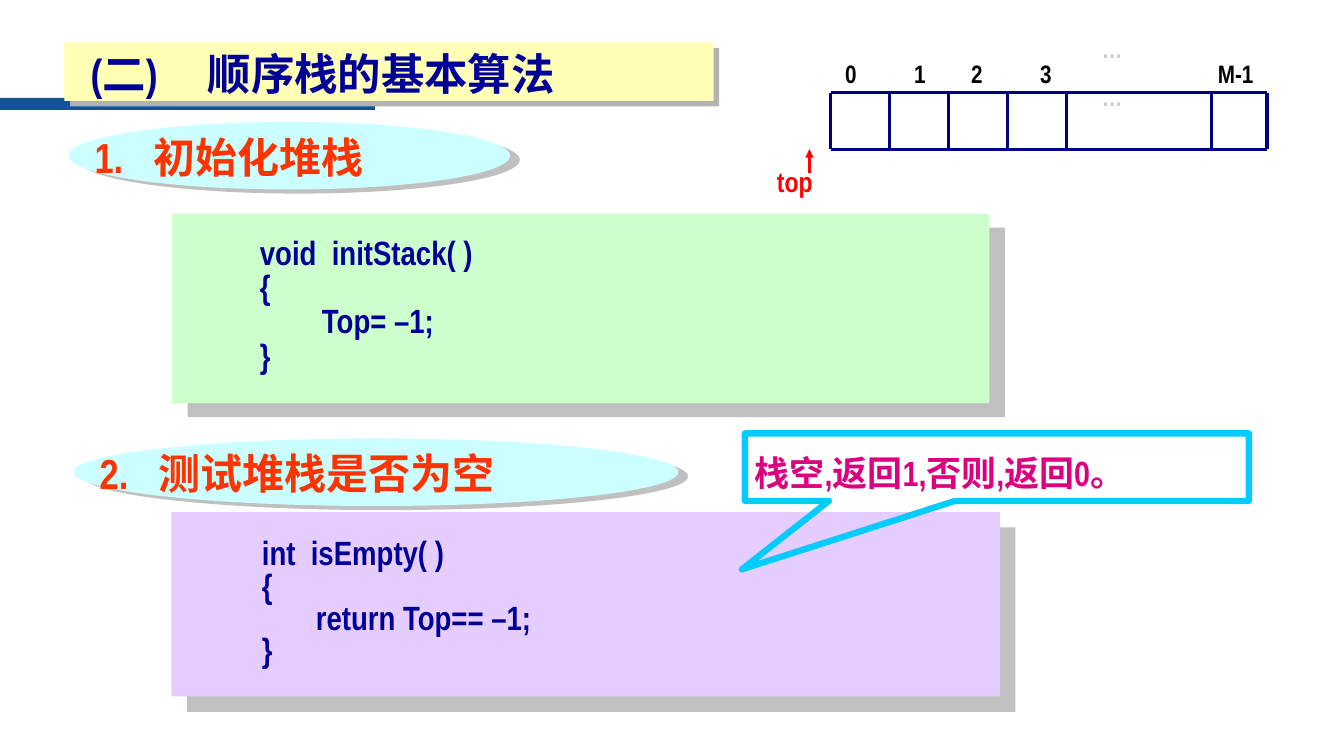
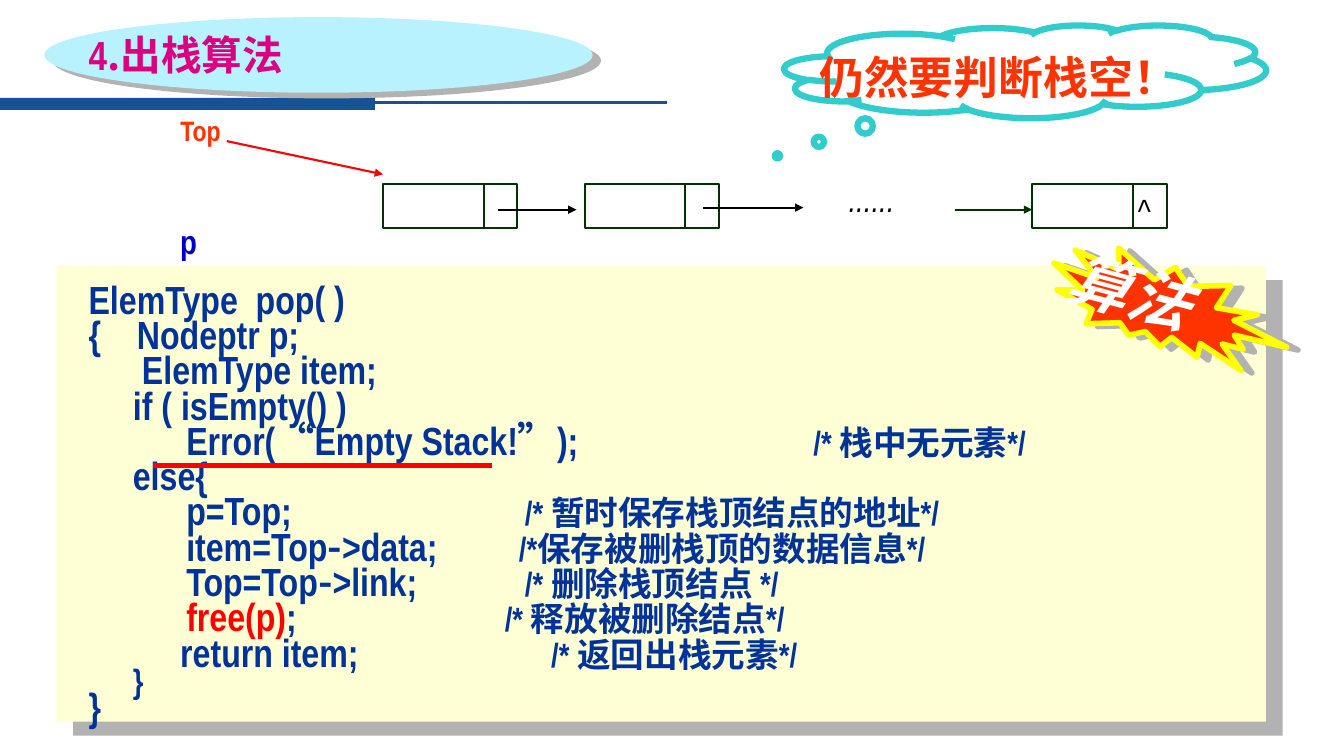
from lxml.etree import SubElement
from pptx import Presentation
from pptx.dml.color import RGBColor
from pptx.enum.shapes import MSO_CONNECTOR, MSO_SHAPE as Shape
from pptx.enum.text import MSO_ANCHOR, MSO_AUTO_SIZE, PP_ALIGN as Align
from pptx.oxml.ns import qn
from pptx.util import Inches, Pt

# The slide is a grid of 160 columns by 90 rows; one cell is 1/12 inch square.
CELL = Inches(1) / 12
LATIN, CJK = "Arial Narrow", "Noto Sans CJK SC"
BAND, NAVY, CODE_BLUE = "145396", "000099", "003399"
ORANGE, RED, PINK = "FF3300", "FF0000", "DC0081"
SILVER, GREY, BLACK, GREEN = "C0C0C0", "B2B2B2", "000000", "003300"
COMMENT = {"size": 24}
IN_CJK = {"font": CJK}


def cells(*lengths):
    return [round(length * CELL) for length in lengths]


def rgb(value):
    return RGBColor.from_string(value)


def add_outer_shadow(effects, colour, distance, angle):
    shadow = SubElement(effects, qn("a:outerShdw"), dist=str(Pt(distance)),
                        dir=str(angle * 60000), algn="tl", rotWithShape="0")
    SubElement(shadow, qn("a:srgbClr"), val=colour)


def add_box(page, kind, at, fill=None, line=None, weight=1, shadow=None,
            adjust=(), rotation=0):
    """Add a preset shape; shadow is (colour, distance, angle)."""
    box = page.shapes.add_shape(kind, *cells(*at))
    box.shadow.inherit = False
    box.rotation = rotation
    for index, value in enumerate(adjust):
        box.adjustments[index] = value
    if fill:
        box.fill.solid()
        box.fill.fore_color.rgb = rgb(fill)
    else:
        box.fill.background()
    if line:
        box.line.color.rgb = rgb(line)
        box.line.width = Pt(weight)
    else:
        box.line.fill.background()
    if shadow:
        add_outer_shadow(box._element.spPr.find(qn("a:effectLst")), *shadow)
    return box


def add_line(page, start, end, colour, weight, arrow=False):
    line = page.shapes.add_connector(MSO_CONNECTOR.STRAIGHT,
                                     *cells(*start, *end))
    line.line.color.rgb = rgb(colour)
    line.line.width = Pt(weight)
    if arrow:
        SubElement(line.line._get_or_add_ln(), qn("a:tailEnd"), type="triangle")
    SubElement(line._element.spPr, qn("a:effectLst"))


def format_span(span, size, colour, font=LATIN, bold=True, italic=False,
                shadow=False):
    span.font.size = Pt(size)
    span.font.bold = bold
    span.font.italic = italic
    span.font.color.rgb = rgb(colour)
    span.font.name = font
    properties = span.font._element
    SubElement(properties, qn("a:ea"), typeface=CJK)
    if shadow:
        effects = SubElement(properties, qn("a:effectLst"))
        add_outer_shadow(effects, BLACK, 2, 45)
        properties.find(qn("a:solidFill")).addnext(effects)


def write_para(para, spans, tabs=(), spacing=None, align=Align.LEFT, **look):
    """Fill a paragraph; a span is a string or (string, format changes)."""
    para.alignment = align
    if spacing:
        para.line_spacing = spacing
    if tabs:
        tab_list = SubElement(para._p.get_or_add_pPr(), qn("a:tabLst"))
        for stop in cells(*tabs):
            SubElement(tab_list, qn("a:tab"), pos=str(stop), algn="l")
    for item in [spans] if isinstance(spans, str) else spans:
        text, changes = (item, {}) if isinstance(item, str) else item
        span = para.add_run()
        span.text = text
        format_span(span, **{**look, **changes})


def add_text(page, at, spans, rotation=0, **look):
    box = page.shapes.add_textbox(*cells(*at))
    box.rotation = rotation
    box.text_frame.word_wrap = True
    write_para(box.text_frame.paragraphs[0], spans, **look)


def add_code(page, at, lines, **look):
    """Write code; a line is (spans, tab stops, format changes)."""
    frame = page.shapes.add_textbox(*cells(*at)).text_frame
    frame.word_wrap = True
    for index, (spans, tabs, changes) in enumerate(lines):
        para = frame.add_paragraph() if index else frame.paragraphs[0]
        write_para(para, spans, tabs=tabs, **{**look, **changes})


def place_title(page, at, spans, **look):
    title = page.shapes.title
    title.left, title.top, title.width, title.height = cells(*at)
    page.shapes._spTree.append(title._element)
    frame = title.text_frame
    frame.word_wrap = True
    frame.auto_size = MSO_AUTO_SIZE.NONE
    frame.vertical_anchor = MSO_ANCHOR.TOP
    write_para(frame.paragraphs[0], spans, **look)


def add_page(deck):
    page = deck.slides.add_slide(deck.slide_layouts[5])
    add_box(page, Shape.RECTANGLE, (0, 11.64, 44.64, 1.44), fill=BAND)
    add_line(page, (44.2, 12.24), (79.4, 12.24), BAND, 2.25)
    return page


def add_heading(page, left, top, width, text):
    add_box(page, Shape.OVAL, (left, top, width, 8.04), fill="CCFFFF",
            shadow=(SILVER, 7.6, 23))
    add_text(page, (left + 1.92, top + 0.55, width + 2, 7.2), text,
             tabs=[6.96], size=30, colour=ORANGE, shadow=True)


def add_array(page):
    left, right, top, bottom = 98.88, 150.84, 11.04, 17.76
    for y in (top, bottom):
        add_line(page, (left, y), (right, y), "000080", 2)
    for x in [left + 7.02 * i for i in range(5)] + [144.24, right]:
        add_line(page, (x, top), (x, bottom), "000080", 2.25)
    labels = {"0": 101.3, "1": 109.5, "2": 116.3, "3": 124.5, "M-1": 147.1}
    for label, centre in labels.items():
        add_text(page, (centre - 4, 6.36, 8, 4.8), label, size=18,
                 colour=BLACK, align=Align.CENTER)
    for y in (3.36, 9.12):
        add_text(page, (130, y, 5.4, 4.8), "…", size=18, colour="CECECE")
    add_line(page, (96.36, 20.64), (96.36, bottom), RED, 2, arrow=True)
    add_text(page, (91.32, 18.96, 16.3, 5.2), "top", size=20, colour=RED)


def add_node(page, left):
    for x, width in ((left, 12), (left + 12, 4)):
        add_box(page, Shape.RECTANGLE, (x, 21.96, width, 5.16),
                line=GREEN, weight=1.5)


def build_basic_algorithms(deck):
    page = add_page(deck)
    add_heading(page, 8.16, 14.52, 52.56, "1.\t初始化堆栈")
    add_box(page, Shape.RECTANGLE, (20.5, 25.44, 97.3, 22.56), fill="CCFFCC",
            shadow=(SILVER, 14.9, 42))
    add_code(page, (29.76, 27.72, 74.64, 17.5),
             [("void  initStack( )", (), {}), ("{", (), {}),
              ("\tTop= –1;", [7.38], {}), ("}", (), {})],
             size=24, colour=NAVY, spacing=0.85)

    add_heading(page, 8.76, 52.2, 72, "2.\t测试堆栈是否为空")
    add_box(page, Shape.RECTANGLE, (20.4, 60.96, 98.64, 21.96), fill="E6CDFF",
            shadow=(SILVER, 15.6, 45))
    add_code(page, (30, 63.72, 72, 16.7),
             [("int  isEmpty( )", (), {}), ("{", (), {}),
              ("\treturn Top== –1;", [6.43], {}), ("}", (), {})],
             size=24, colour=NAVY, spacing=0.8)
    add_box(page, Shape.RECTANGULAR_CALLOUT, (88.68, 51.6, 60, 8.04),
            line="00CCFF", weight=4.5, adjust=(-0.506, 1.513))
    add_text(page, (88.68, 53.16, 70.7, 6.24), "栈空,返回1,否则,返回0。",
             size=25, colour=PINK)

    add_box(page, Shape.RECTANGLE, (7.68, 5.04, 77.28, 6.96), fill="FFFFB5",
            shadow=(GREY, 5.7, 45))
    place_title(page, (9.6, 5.04, 78, 7.44), "(二)\t顺序栈的基本算法",
                tabs=[13.92], size=31, colour=NAVY)
    add_array(page)


def add_linked_list(page):
    add_text(page, (20.28, 12.96, 8, 5.3), "Top", size=20, colour=ORANGE)
    add_text(page, (20.28, 25.68, 5, 6), "p", size=24, colour="0000CC")
    for left in (45.6, 69.6, 122.88):
        add_node(page, left)
    for start, end, y, colour in ((59.28, 68.64, 24.96, BLACK),
                                  (83.64, 95.64, 24.72, BLACK),
                                  (113.64, 122.88, 24.96, GREEN)):
        add_line(page, (start, y), (end, y), colour, 1.25, arrow=True)
    add_line(page, (27, 16.8), (45.6, 20.76), RED, 1.5, arrow=True)
    add_text(page, (99.84, 20.76, 11, 6.1), "......", size=24, colour=BLACK,
             bold=False, italic=True)
    add_text(page, (134.28, 21.96, 4.5, 6.1), "^", size=24, colour=BLACK,
             bold=False)


def add_pop_code(page):
    outer, inner = 5.28, 11.64
    hyphen = ("-", IN_CJK)
    lines = [
        ("ElemType  pop( )", (), {"spacing": 0.7}),
        ("{\tNodeptr p;", [5.76], {}),
        ("\tElemType item;", [6.36], {}),
        ("\tif ( isEmpty() )", [outer], {}),
        (["\tError(", ("“", IN_CJK), "Empty Stack!", ("”", IN_CJK), ");\t",
          ("/* 栈中无元素*/", COMMENT)], [inner, 86.3], {}),
        ("\telse{", [outer], {}),
        (["\tp=Top;\t", ("/* 暂时保存栈顶结点的地址*/", COMMENT)],
         [inner, 51.96], {}),
        (["\titem=Top", hyphen, ">data;\t",
          ("/*保存被删栈顶的数据信息*/", COMMENT)], [inner, 51.24], {}),
        (["\tTop=Top", hyphen, ">link;\t", ("/* 删除栈顶结点 */", COMMENT)],
         [inner, 51.96], {}),
        (["\t", ("free(p)", {"colour": RED}), ";\t",
          ("/* 释放被删除结点*/", COMMENT)], [inner, 49.56], {}),
        (["\treturn item;\t", ("/* 返回出栈元素*/", COMMENT)],
         [10.92, 55.08], {}),
        ("\t}", [outer], {"spacing": 0.6, "size": 24}),
        ("}", (), {"spacing": 0.6}),
    ]
    add_box(page, Shape.RECTANGLE, (6.72, 31.68, 144, 54.24), fill="FFFFD5",
            shadow=(GREY, 15.6, 40))
    add_code(page, (9.36, 33.72, 136, 53.9), lines, size=28,
             colour=CODE_BLUE, spacing=0.75)
    add_line(page, (18.24, 55.44), (58.56, 55.44), RED, 4)


def build_pop_algorithm(deck):
    page = add_page(deck)
    add_box(page, Shape.OVAL, (5.28, 2.04, 65.28, 9), fill="B9F2FF",
            shadow=(GREY, 7.2, 34))
    place_title(page, (9.36, 3, 65.28, 6.96), ["4", (".出栈算法", IN_CJK)],
                size=29, colour=PINK)
    add_linked_list(page)
    add_box(page, Shape.CLOUD_CALLOUT, (93.36, 3, 57.36, 11.04),
            line="33CCCC", weight=4.5, adjust=(-0.514, 0.909))
    add_text(page, (96.36, 5.28, 57.48, 7.7), "仍然要判断栈空！", size=32,
             colour=ORANGE)
    add_pop_code(page)
    add_box(page, Shape.EXPLOSION2, (124.44, 30.96, 29.28, 11.76),
            fill=ORANGE, line="FFFF00", weight=4, shadow=(GREY, 8.2, 14),
            rotation=26.5)
    add_text(page, (125.76, 31.32, 30.84, 9.96), "算法", rotation=15.1,
             size=44, colour="FFFFFF", italic=True, shadow=True)


def main():
    deck = Presentation()
    deck.slide_width, deck.slide_height = cells(160, 90)
    build_basic_algorithms(deck)
    build_pop_algorithm(deck)
    deck.save("out.pptx")


if __name__ == "__main__":
    main()
